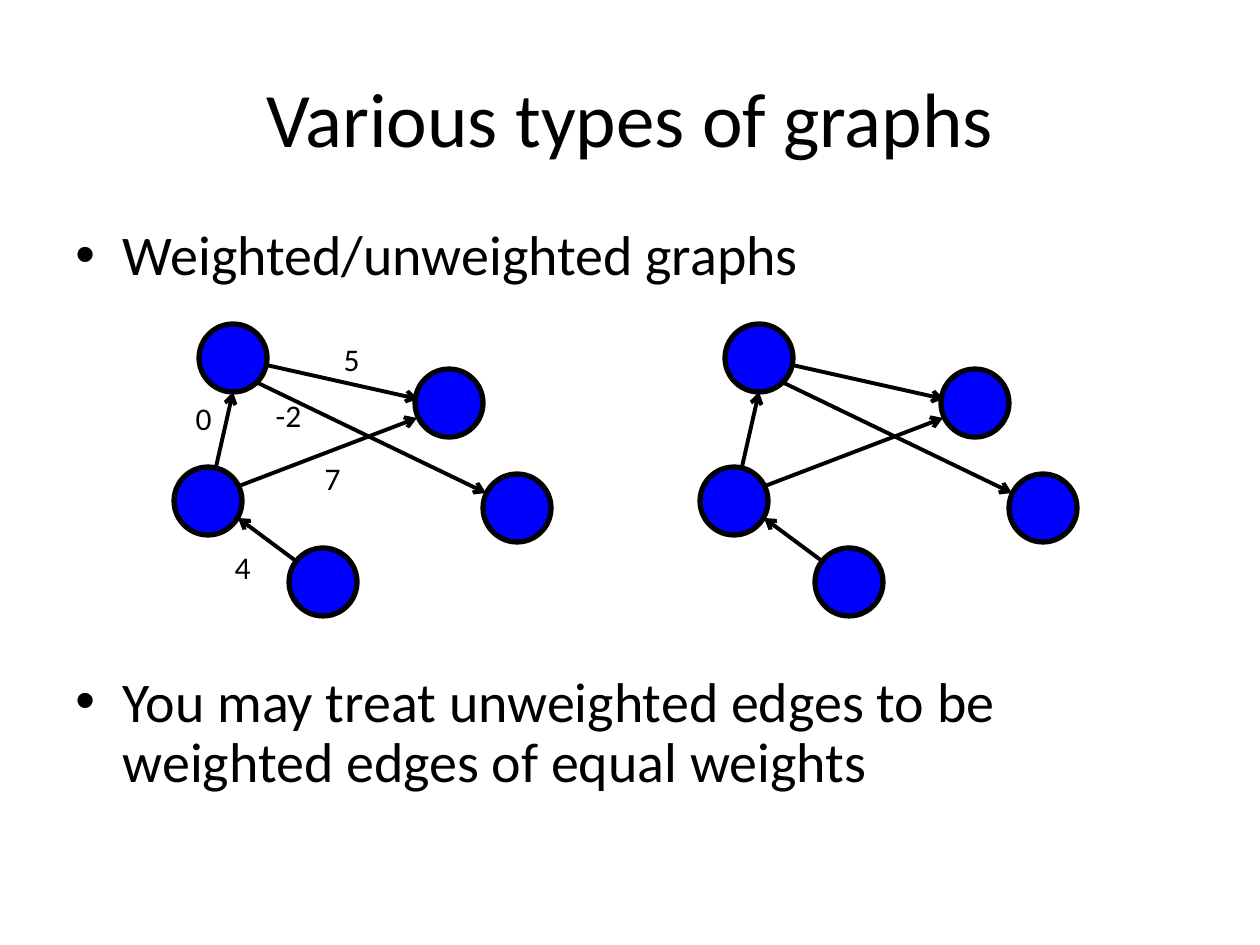
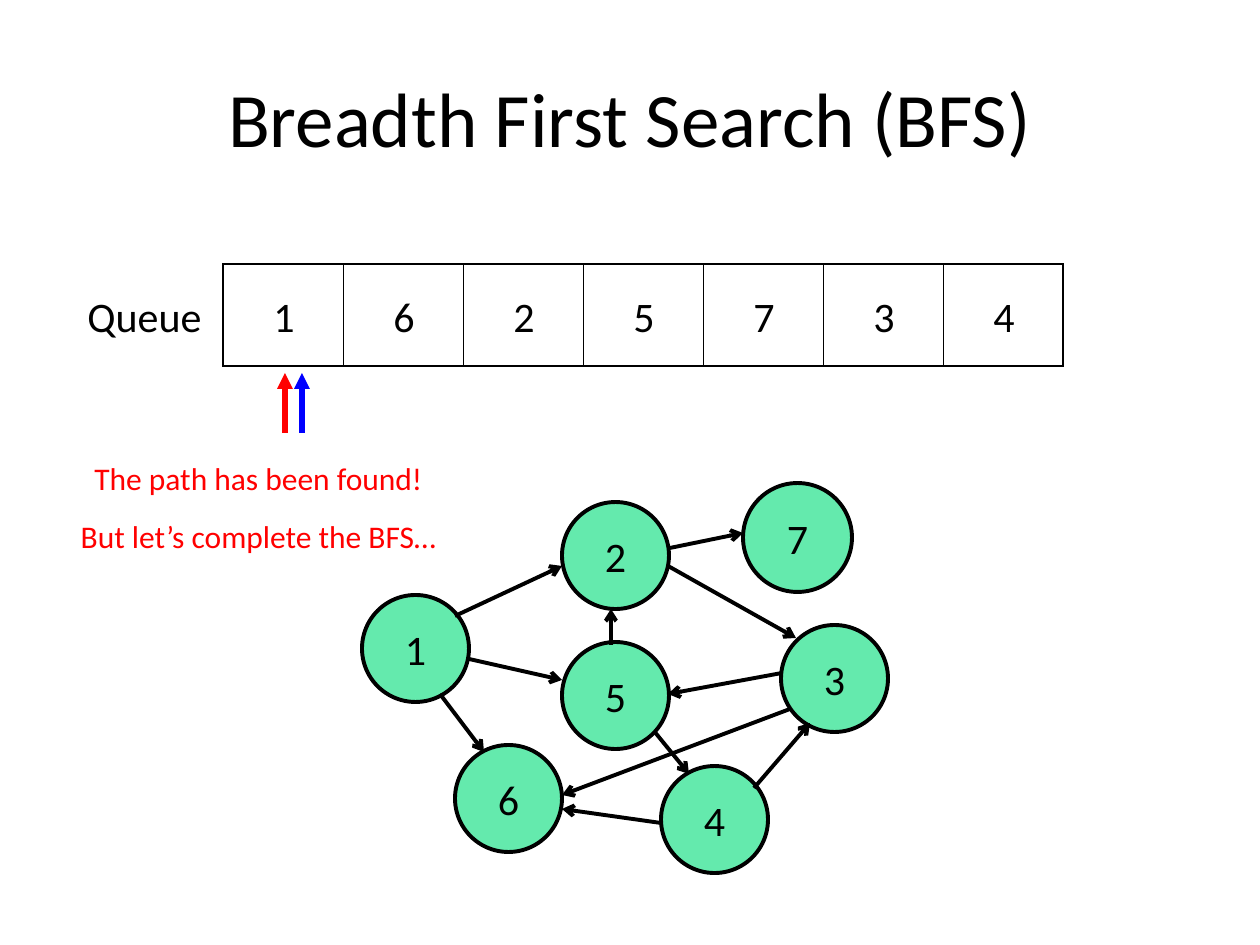
from lxml import etree
from pptx import Presentation
from pptx.dml.color import RGBColor
from pptx.enum import shapes, text
from pptx.oxml import ns
from pptx import util as u

PX = 914400 / 126
FONT = "Calibri"
BLACK = RGBColor(0x00, 0x00, 0x00)
BLUE = RGBColor(0x00, 0x00, 0xFF)
RED = RGBColor(0xFF, 0x00, 0x00)
MINT = RGBColor(0x64, 0xEA, 0xAD)
TITLE_LAYOUT = 5


def write(frame, lines, size, color=BLACK, align=text.PP_ALIGN.CENTER, gap=0, bullet=False):
    """Fill a text frame with one paragraph per line; gap is the points between them."""
    for index, line in enumerate(lines):
        para = frame.paragraphs[0] if index == 0 else frame.add_paragraph()
        para.text = line
        para.alignment = align
        if index:
            para.space_before = u.Pt(gap)
        if bullet:
            para.line_spacing = 0.9
            props = para._p.get_or_add_pPr()
            props.set("marL", "342900")
            props.set("indent", "-342900")
            etree.SubElement(props, ns.qn("a:buFont"), typeface="Arial")
            etree.SubElement(props, ns.qn("a:buChar"), char="•")
        para.font.name = FONT
        para.font.size = u.Pt(size)
        para.font.color.rgb = color


def add_arrow(page, start, end, color=BLACK, width=2.25, head="arrow"):
    ends = [round(v * PX) for v in (*start, *end)]
    arrow = page.shapes.add_connector(shapes.MSO_CONNECTOR.STRAIGHT, *ends)
    arrow.line.color.rgb = color
    arrow.line.width = u.Pt(width)
    etree.SubElement(arrow.line._get_or_add_ln(), ns.qn("a:tailEnd"), type=head)
    etree.SubElement(arrow._element.spPr, ns.qn("a:effectLst"))


deck = Presentation()
deck.slide_width = round(1260 * PX)
deck.slide_height = round(945 * PX)

pages = []
for heading in ("Various types of graphs", "Breadth First Search (BFS)"):
    page = deck.slides.add_slide(deck.slide_layouts[TITLE_LAYOUT])
    title = page.shapes.title
    title.left, title.top, title.width, title.height = [
        round(v * PX) for v in (63, 38, 1134, 157)]
    title.text_frame.vertical_anchor = text.MSO_ANCHOR.MIDDLE
    write(title.text_frame, [heading], 44)
    pages.append(page)
types_page, bfs_page = pages

# Queue: an empty strip of cells, its vertices are placed over it
QUEUE = "1625734"
CELL_WIDTH = 120
OUTER, INNER = 1.08, 0.45
table = bfs_page.shapes.add_table(1, len(QUEUE), *[
    round(v * PX) for v in (223, 264, CELL_WIDTH * len(QUEUE), 102)]).table
table.first_row = table.horz_banding = False
for column in range(len(QUEUE)):
    cell = table.cell(0, column)
    borders = {"lnL": INNER if column else OUTER,
               "lnR": INNER if column < len(QUEUE) - 1 else OUTER,
               "lnT": OUTER, "lnB": OUTER}
    for side, width in borders.items():
        border = etree.SubElement(
            cell._tc.get_or_add_tcPr(), ns.qn("a:" + side), w=str(u.Pt(width)))
        fill = etree.SubElement(border, ns.qn("a:solidFill"))
        etree.SubElement(fill, ns.qn("a:srgbClr"), val=str(BLACK))
    cell.fill.background()

# Text boxes: page, left, top, width, height, lines, formatting
BULLETS = ["Weighted/unweighted graphs",
           "You may treat unweighted edges to be weighted edges of equal weights"]
MESSAGE = ["The path has been found!", "But let’s complete the BFS…"]
WEIGHTS = {"5": (322, 334), "-2": (259, 390), "7": (303, 453),
           "4": (213, 542), "0": (174, 393)}
boxes = [
    (types_page, 63, 221, 1134, 624, BULLETS,
     dict(size=32, align=text.PP_ALIGN.LEFT, gap=220.5, bullet=True)),
    (bfs_page, 65, 284, 159, 63, ["Queue"], dict(size=24)),
    (bfs_page, 65, 453, 387, 108, MESSAGE, dict(size=18, color=RED, gap=11.2)),
]
for weight, (x, y) in WEIGHTS.items():
    boxes.append((types_page, x, y, 59, 50, [weight], dict(size=18)))
for column, vertex in enumerate(QUEUE):
    boxes.append((bfs_page, 229 + column * CELL_WIDTH, 284, 110, 63,
                  [vertex], dict(size=24)))
for page, x, y, width, height, lines, style in boxes:
    box = page.shapes.add_textbox(*[round(v * PX) for v in (x, y, width, height)])
    box.text_frame.word_wrap = True
    write(box.text_frame, lines, **style)

# Nodes: page, left, top, diameter, fill, line width, label
SMALL_NODES = [(199, 324), (415, 369), (289, 548), (174, 467), (483, 474)]
BFS_NODES = {"1": (362, 595), "5": (562, 642), "2": (562, 502), "6": (455, 745),
             "3": (781, 625), "4": (661, 766), "7": (743, 483)}
GRAPH_SHIFTS = (0, 526)
nodes = [(types_page, x + shift, y, 68, BLUE, 3, "")
         for shift in GRAPH_SHIFTS for x, y in SMALL_NODES]
nodes += [(bfs_page, x, y, 109 if label == "7" else 107, MINT, 2.25, label)
          for label, (x, y) in BFS_NODES.items()]
for page, x, y, size, color, width, label in nodes:
    node = page.shapes.add_shape(
        shapes.MSO_SHAPE.OVAL, *[round(v * PX) for v in (x, y, size, size)])
    node.shadow.inherit = False
    node.fill.solid()
    node.fill.fore_color.rgb = color
    node.line.color.rgb = BLACK
    node.line.width = u.Pt(width)
    if label:
        node.text_frame.word_wrap = False
        node.text_frame.vertical_anchor = text.MSO_ANCHOR.MIDDLE
        write(node.text_frame, [label], 24)

SMALL_EDGES = [((266, 365), (418, 399)), ((216, 467), (233, 392)),
               ((296, 561), (238, 518)), ((258, 383), (486, 493)),
               ((239, 486), (417, 418))]
for shift in GRAPH_SHIFTS:
    for (x1, y1), (x2, y2) in SMALL_EDGES:
        add_arrow(types_page, (x1 + shift, y1), (x2 + shift, y2))

BFS_EDGES = [((455, 616), (562, 566)), ((469, 659), (562, 680)),
             ((611, 645), (611, 609)), ((440, 694), (484, 752)),
             ((661, 823), (562, 809)), ((654, 731), (689, 774)),
             ((790, 709), (562, 795)), ((754, 788), (810, 723)),
             ((668, 566), (796, 638)), ((782, 673), (668, 694)),
             ((670, 548), (743, 533))]
for start, end in BFS_EDGES:
    add_arrow(bfs_page, start, end)

# Pointers below the queue
for x, color in ((285, RED), (302, BLUE)):
    add_arrow(bfs_page, (x, 433), (x, 373), color, 3, "triangle")

deck.save("out.pptx")
